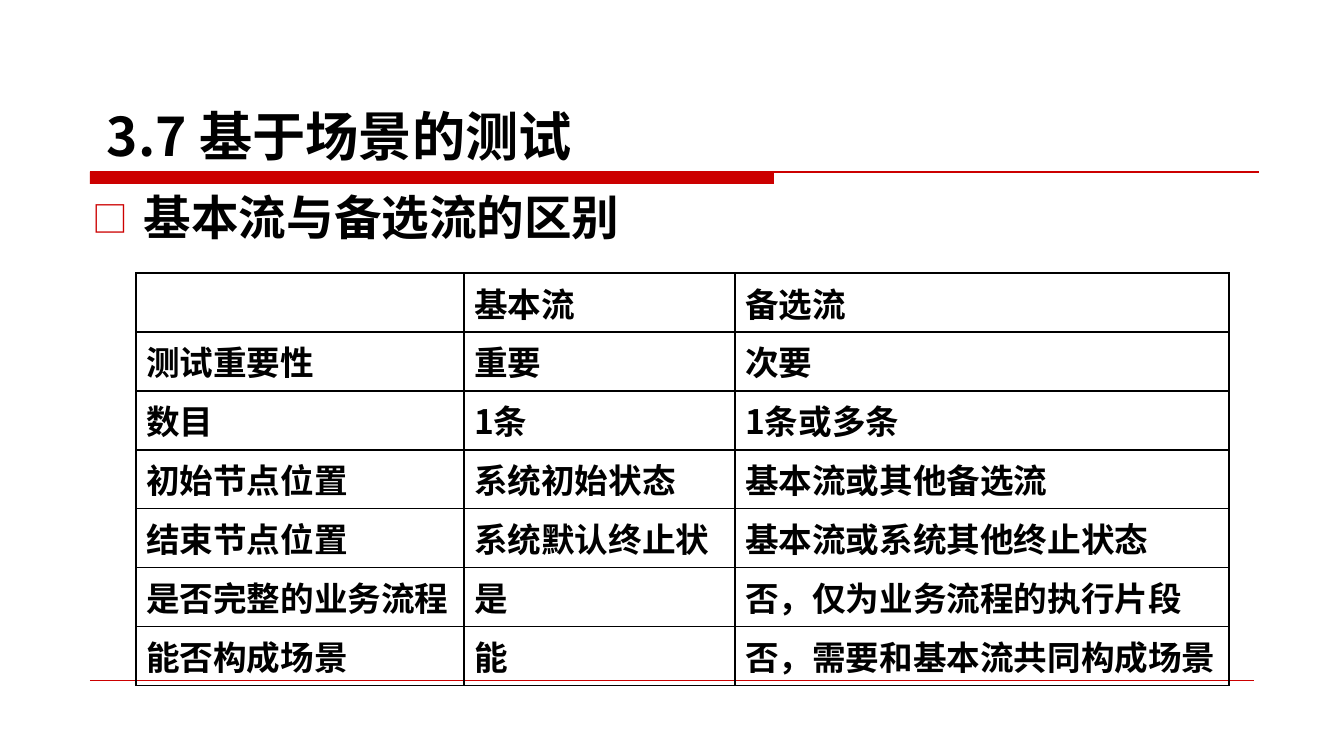
from lxml import etree
from pptx import Presentation
from pptx.dml.color import RGBColor
from pptx.enum.shapes import MSO_CONNECTOR, MSO_SHAPE
from pptx.enum.text import MSO_ANCHOR, PP_ALIGN
from pptx.oxml.ns import qn
from pptx.util import Pt

# Content
TITLE = "3.7 基于场景的测试"
HEADING = "基本流与备选流的区别"
ROWS = [
    ("", "基本流", "备选流"),
    ("测试重要性", "重要", "次要"),
    ("数目", "1条", "1条或多条"),
    ("初始节点位置", "系统初始状态", "基本流或其他备选流"),
    ("结束节点位置", "系统默认终止状", "基本流或系统其他终止状态"),
    ("是否完整的业务流程", "是", "否，仅为业务流程的执行片段"),
    ("能否构成场景", "能", "否，需要和基本流共同构成场景"),
]

# Format and layout, in px
FONT = "Noto Sans CJK SC"
COLORS = {"text": "000000", "accent": "CC0000", "border": "000000"}
COLUMN_WIDTHS = [328, 271, 494]
ROW_HEIGHT = 59
TABLE_LEFT, TABLE_TOP = 136, 273
RULE_LEFT = 90
RECTANGLE = MSO_SHAPE.RECTANGLE
STRAIGHT = MSO_CONNECTOR.STRAIGHT
TOP, BOTTOM = MSO_ANCHOR.TOP, MSO_ANCHOR.BOTTOM
JUSTIFY = PP_ALIGN.JUSTIFY


def px(length):
    return round(length * 914400 / 100.8)


def color(name):
    return RGBColor.from_string(COLORS[name])


def write(frame, text, size, align=None, spacing=None):
    """Put one bold paragraph into a text frame and return it."""
    paragraph = frame.paragraphs[0]
    paragraph.alignment = align
    paragraph.line_spacing = spacing
    run = paragraph.add_run()
    run.text = text
    run.font.size = Pt(size)
    run.font.bold = True
    run.font.name = FONT
    run.font.color.rgb = color("text")
    etree.SubElement(run.font._element, qn("a:ea"), typeface=FONT)
    return paragraph


def add_text(left, top, width, height, text, size, anchor=TOP, **formats):
    box = slide.shapes.add_textbox(px(left), px(top), px(width), px(height))
    box.text_frame.word_wrap = True
    box.text_frame.vertical_anchor = anchor
    return write(box.text_frame, text, size, **formats)


def add_bullet(paragraph, character, indent):
    properties = paragraph._p.get_or_add_pPr()
    properties.set("marL", str(px(indent)))
    properties.set("indent", str(-px(indent)))
    bullet_color = etree.SubElement(properties, qn("a:buClr"))
    etree.SubElement(bullet_color, qn("a:srgbClr"), val=COLORS["accent"])
    etree.SubElement(properties, qn("a:buSzPct"), val="75000")
    etree.SubElement(properties, qn("a:buFont"), typeface=FONT)
    etree.SubElement(properties, qn("a:buChar"), char=character)


def add_rule(right, y, weight):
    line = slide.shapes.add_connector(STRAIGHT, px(RULE_LEFT), px(y), px(right), px(y))
    line.line.color.rgb = color("accent")
    line.line.width = Pt(weight)
    etree.SubElement(line._element.spPr, qn("a:effectLst"))


def add_borders(cell):
    properties = cell._tc.get_or_add_tcPr()
    for index, side in enumerate(("a:lnL", "a:lnR", "a:lnT", "a:lnB")):
        border = etree.Element(qn(side), w=str(Pt(1)))
        fill = etree.SubElement(border, qn("a:solidFill"))
        etree.SubElement(fill, qn("a:srgbClr"), val=COLORS["border"])
        properties.insert(index, border)


presentation = Presentation()
presentation.slide_width, presentation.slide_height = px(1344), px(756)
slide = presentation.slides.add_slide(presentation.slide_layouts[6])

# Rules under the title and at the foot
bar = slide.shapes.add_shape(RECTANGLE, px(RULE_LEFT), px(172), px(684), px(12))
bar.shadow.inherit = False
bar.fill.solid()
bar.fill.fore_color.rgb = color("accent")
bar.line.fill.background()
add_rule(1259, 172, 0.75)
add_rule(1254, 680, 0.25)

# Heading and title
heading = add_text(83, 189, 1172, 75, HEADING, 34, align=JUSTIFY, spacing=0.9)
add_bullet(heading, "□", 51)
add_text(97, 38, 882, 134, TITLE, 38, anchor=BOTTOM)

# Comparison table
table = slide.shapes.add_table(
    len(ROWS), len(COLUMN_WIDTHS), px(TABLE_LEFT), px(TABLE_TOP),
    px(sum(COLUMN_WIDTHS)), px(ROW_HEIGHT * len(ROWS))).table
table.first_row = table.horz_banding = False
for column, width in zip(table.columns, COLUMN_WIDTHS):
    column.width = px(width)
for row, texts in zip(table.rows, ROWS):
    row.height = px(ROW_HEIGHT)
    for cell, text in zip(row.cells, texts):
        cell.fill.background()
        add_borders(cell)
        if text:
            write(cell.text_frame, text, 24)

presentation.save("out.pptx")
